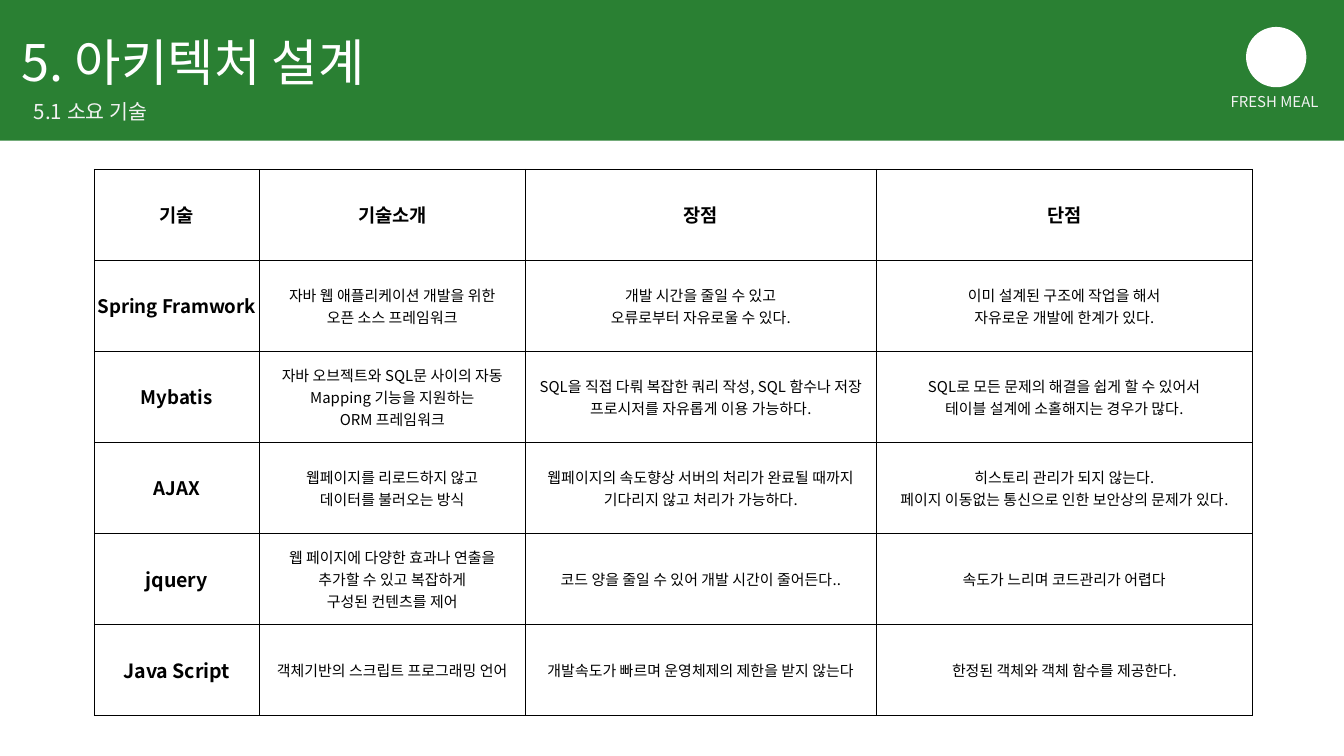
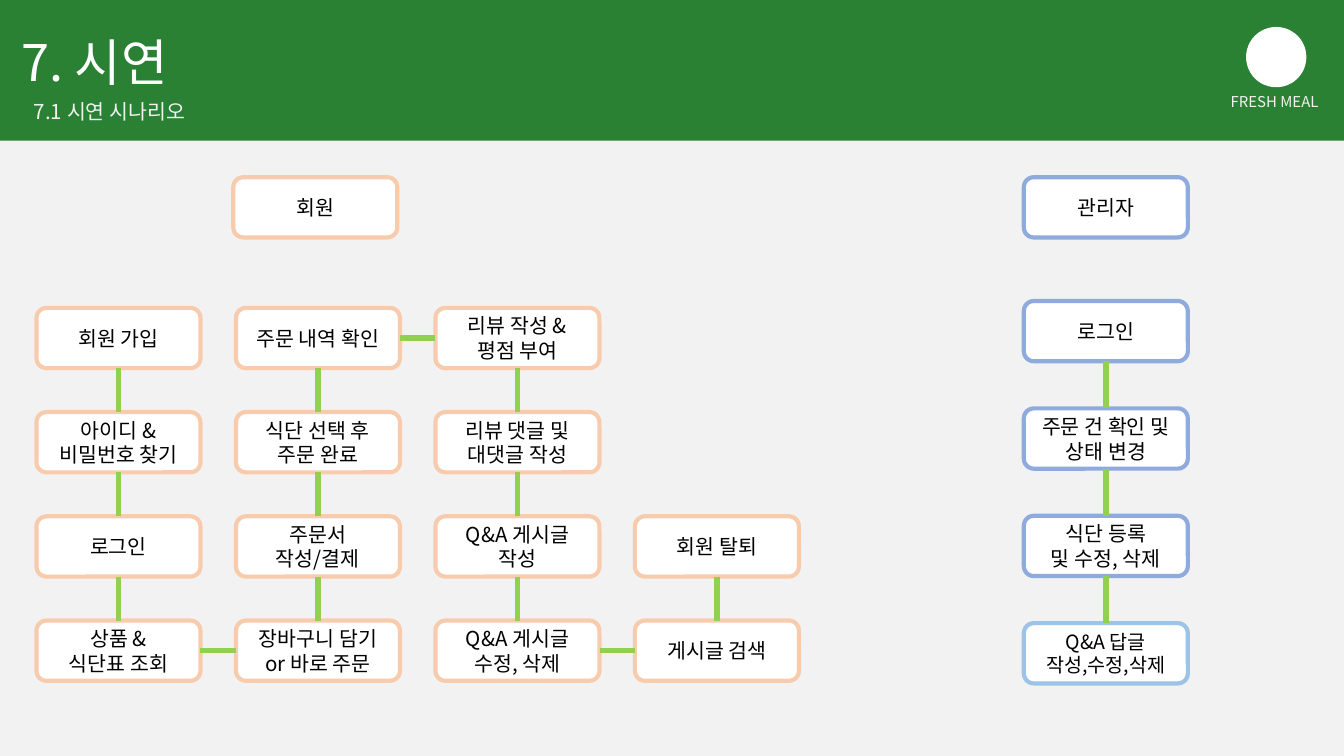
import pptx
import pptx.util
import pptx.dml.color
import pptx.enum.shapes
import pptx.enum.text
import pptx.oxml.ns
from lxml import etree

Cm, Pt = pptx.util.Cm, pptx.util.Pt
RGBColor = pptx.dml.color.RGBColor
SHAPE = pptx.enum.shapes.MSO_SHAPE
LINE = pptx.enum.shapes.MSO_CONNECTOR.STRAIGHT
ALIGN = pptx.enum.text.PP_ALIGN
ANCHOR = pptx.enum.text.MSO_ANCHOR
AUTO = pptx.enum.text.MSO_AUTO_SIZE
qn = pptx.oxml.ns.qn

FONT = "Noto Sans CJK KR"
GREEN = RGBColor(0x2A, 0x80, 0x33)
LIME = RGBColor(0x92, 0xD0, 0x50)
PEACH = RGBColor(0xF8, 0xCB, 0xAD)
BLUE = RGBColor(0x8F, 0xAA, 0xDC)
SKY = RGBColor(0x9D, 0xC3, 0xE6)
WHITE = RGBColor(0xFF, 0xFF, 0xFF)
PALE = RGBColor(0xF2, 0xF2, 0xF2)
BLACK = RGBColor(0, 0, 0)

# Content: technology table
BRAND = "FRESH MEAL"
TECH_HEAD = ["기술", "기술소개", "장점", "단점"]
TECH_ROWS = [
    ["Spring Framwork",
     "자바 웹 애플리케이션 개발을 위한\n오픈 소스 프레임워크",
     "개발 시간을 줄일 수 있고\n오류로부터 자유로울 수 있다.",
     "이미 설계된 구조에 작업을 해서\n자유로운 개발에 한계가 있다."],
    ["Mybatis",
     "자바 오브젝트와 SQL문 사이의 자동 Mapping 기능을 지원하는\nORM 프레임워크",
     "SQL을 직접 다뤄 복잡한 쿼리 작성, SQL 함수나 저장 프로시저를 자유롭게 이용 가능하다.",
     "SQL로 모든 문제의 해결을 쉽게 할 수 있어서\n테이블 설계에 소홀해지는 경우가 많다."],
    ["AJAX",
     "웹페이지를 리로드하지 않고\n데이터를 불러오는 방식",
     "웹페이지의 속도향상 서버의 처리가 완료될 때까지 기다리지 않고 처리가 가능하다.",
     "히스토리 관리가 되지 않는다.\n페이지 이동없는 통신으로 인한 보안상의 문제가 있다."],
    ["jquery",
     "웹 페이지에 다양한 효과나 연출을\n추가할 수 있고 복잡하게\n구성된 컨텐츠를 제어",
     "코드 양을 줄일 수 있어 개발 시간이 줄어든다..",
     "속도가 느리며 코드관리가 어렵다"],
    ["Java Script",
     "객체기반의 스크립트 프로그래밍 언어",
     "개발속도가 빠르며 운영체제의 제한을 받지 않는다",
     "한정된 객체와 객체 함수를 제공한다."],
]
LARGE_NAMES = ("jquery", "Java Script")
COL_WIDTHS = [3.12, 5.03, 6.63, 7.11]
ROW_HEIGHT = 1.72

# Content: demo steps in walking order, as (column, row, text)
MEMBER_STEPS = [
    (0, 0, "회원 가입"),
    (0, 1, "아이디 &\n비밀번호 찾기"),
    (0, 2, "로그인"),
    (0, 3, "상품 &\n식단표 조회"),
    (1, 3, "장바구니 담기 or 바로 주문"),
    (1, 2, "주문서 작성/결제"),
    (1, 1, "식단 선택 후 주문 완료"),
    (1, 0, "주문 내역 확인"),
    (2, 0, "리뷰 작성 &\n평점 부여"),
    (2, 1, "리뷰 댓글 및\n대댓글 작성"),
    (2, 2, "Q&A 게시글 작성"),
    (2, 3, "Q&A 게시글 수정, 삭제"),
    (3, 3, "게시글 검색"),
    (3, 2, "회원 탈퇴"),
]
ADMIN_STEPS = [
    (0, 0, "로그인"),
    (0, 1, "주문 건 확인 및 상태 변경"),
    (0, 2, "식단 등록\n및 수정, 삭제"),
    (0, 3, "Q&A 답글\n작성,수정,삭제"),
]
BOX_W, BOX_H = 3.1, 1.14
HEAD_TOP = 3.35
MEMBER_LEFT, MEMBER_TOP, MEMBER_DX, MEMBER_DY = 0.69, 5.82, 3.77, 1.97
ADMIN_LEFT, ADMIN_TOP, ADMIN_DY = 19.35, 5.69, 2.03


def write(tf, text, size=11, color=BLACK, bold=False, align=ALIGN.CENTER,
          anchor=ANCHOR.MIDDLE):
    tf.word_wrap = True
    tf.vertical_anchor = anchor
    for i, line in enumerate(text.split("\n")):
        p = tf.add_paragraph() if i else tf.paragraphs[0]
        p.alignment = align
        r = p.add_run()
        r.text = line
        r.font.size, r.font.bold, r.font.name = Pt(size), bold, FONT
        r.font.color.rgb = color
        ea = etree.SubElement(r.font._element, qn("a:ea"))
        ea.set("typeface", FONT)


def set_margins(tf, x, y):
    tf.margin_left = tf.margin_right = Cm(x)
    tf.margin_top = tf.margin_bottom = Cm(y)


def place(sp, left, top, width, height):
    sp.left, sp.top, sp.width, sp.height = map(Cm, (left, top, width, height))


def add_label(slide, text, at, sp=None, **fmt):
    sp = sp or slide.shapes.add_textbox(0, 0, 0, 0)
    place(sp, *at)
    set_margins(sp.text_frame, 0.18, 0.1)
    write(sp.text_frame, text, anchor=ANCHOR.TOP, **fmt)
    sp.text_frame.auto_size = AUTO.SHAPE_TO_FIT_TEXT


def add_shape(slide, kind, at, fill, line=None):
    sp = slide.shapes.add_shape(kind, *map(Cm, at))
    sp.shadow.inherit = False
    sp.fill.solid()
    sp.fill.fore_color.rgb = fill
    if line is None:
        sp.line.fill.background()
    else:
        sp.line.color.rgb = line
        sp.line.width = Pt(2.25)
    return sp


def add_slide(prs, title, subtitle, background):
    slide = prs.slides.add_slide(prs.slide_layouts[5])
    slide.background.fill.solid()
    slide.background.fill.fore_color.rgb = background
    # Green band goes behind the title
    band = add_shape(slide, SHAPE.RECTANGLE, (0, 0, 25.4, 2.66), GREEN)
    slide.shapes.title._element.addprevious(band._element)
    add_label(slide, title, (0.23, 0.48, 13.08, 1.35), sp=slide.shapes.title,
              size=27, color=WHITE, align=ALIGN.LEFT)
    add_label(slide, subtitle, (0.46, 1.78, 9.98, 0.66), color=PALE, align=ALIGN.LEFT)
    # Emblem and name
    add_shape(slide, SHAPE.OVAL, (23.55, 0.51, 1.14, 1.14), WHITE)
    add_label(slide, BRAND, (21.03, 1.65, 6.12, 0.53), size=8, color=PALE)
    return slide


def add_borders(cell):
    tcPr = cell._tc.get_or_add_tcPr()
    for side in ("a:lnL", "a:lnR", "a:lnT", "a:lnB"):
        ln = etree.SubElement(tcPr, qn(side), w=str(Pt(0.5)))
        fill = etree.SubElement(ln, qn("a:solidFill"))
        etree.SubElement(fill, qn("a:srgbClr"), val=str(BLACK))


def add_tech_table(slide):
    rows = [TECH_HEAD] + TECH_ROWS
    table = slide.shapes.add_table(
        len(rows), len(TECH_HEAD), Cm(1.78), Cm(3.2),
        Cm(sum(COL_WIDTHS)), Cm(ROW_HEIGHT * len(rows))).table
    table.first_row = table.horz_banding = False
    for column, width in zip(table.columns, COL_WIDTHS):
        column.width = Cm(width)
    for i, row in enumerate(rows):
        table.rows[i].height = Cm(ROW_HEIGHT)
        for j, text in enumerate(row):
            cell = table.cell(i, j)
            heading = i == 0 or j == 0
            size = 10.5 if text in LARGE_NAMES else 10 if heading else 8
            set_margins(cell, 0, 0)
            cell.vertical_anchor = ANCHOR.MIDDLE
            write(cell.text_frame, text, size=size, bold=heading)
            add_borders(cell)
            cell.fill.solid()
            cell.fill.fore_color.rgb = WHITE


def add_box(slide, text, left, top, line, size=11):
    sp = add_shape(slide, SHAPE.ROUNDED_RECTANGLE, (left, top, BOX_W, BOX_H), WHITE, line)
    set_margins(sp.text_frame, 0.18, 0.1)
    write(sp.text_frame, text, size=size)
    return sp


def link(slide, a, b, sites):
    cxn = slide.shapes.add_connector(LINE, 0, 0, 0, 0)
    cxn.begin_connect(a, sites[0])
    cxn.end_connect(b, sites[1])
    cxn.line.color.rgb = LIME
    cxn.line.width = Pt(3)
    etree.SubElement(cxn._element.spPr, qn("a:effectLst"))


def add_flow(slide, steps, left, top, dx, dy, line, last_line=None, last_size=11):
    previous = None
    for n, (col, row, text) in enumerate(steps):
        last = n == len(steps) - 1
        sp = add_box(slide, text, left + col * dx, top + row * dy,
                     last_line if last and last_line else line,
                     last_size if last else 11)
        if previous:
            old_col, old_row, old_sp = previous
            sites = (3, 1) if col > old_col else (2, 0) if row > old_row else (0, 2)
            link(slide, old_sp, sp, sites)
        previous = col, row, sp


def main():
    prs = pptx.Presentation()
    prs.slide_width, prs.slide_height = Cm(25.4), Cm(14.29)

    # Technology slide
    slide = add_slide(prs, "5. 아키텍처 설계", "5.1 소요 기술", WHITE)
    add_tech_table(slide)

    # Demo scenario slide
    slide = add_slide(prs, "7. 시연", "7.1 시연 시나리오", PALE)
    add_box(slide, "회원", MEMBER_LEFT + MEMBER_DX - 0.05, HEAD_TOP, PEACH)
    add_box(slide, "관리자", ADMIN_LEFT, HEAD_TOP, BLUE)
    add_flow(slide, MEMBER_STEPS, MEMBER_LEFT, MEMBER_TOP, MEMBER_DX, MEMBER_DY, PEACH)
    add_flow(slide, ADMIN_STEPS, ADMIN_LEFT, ADMIN_TOP, 0, ADMIN_DY, BLUE,
             last_line=SKY, last_size=10.5)

    prs.save("out.pptx")


if __name__ == "__main__":
    main()
